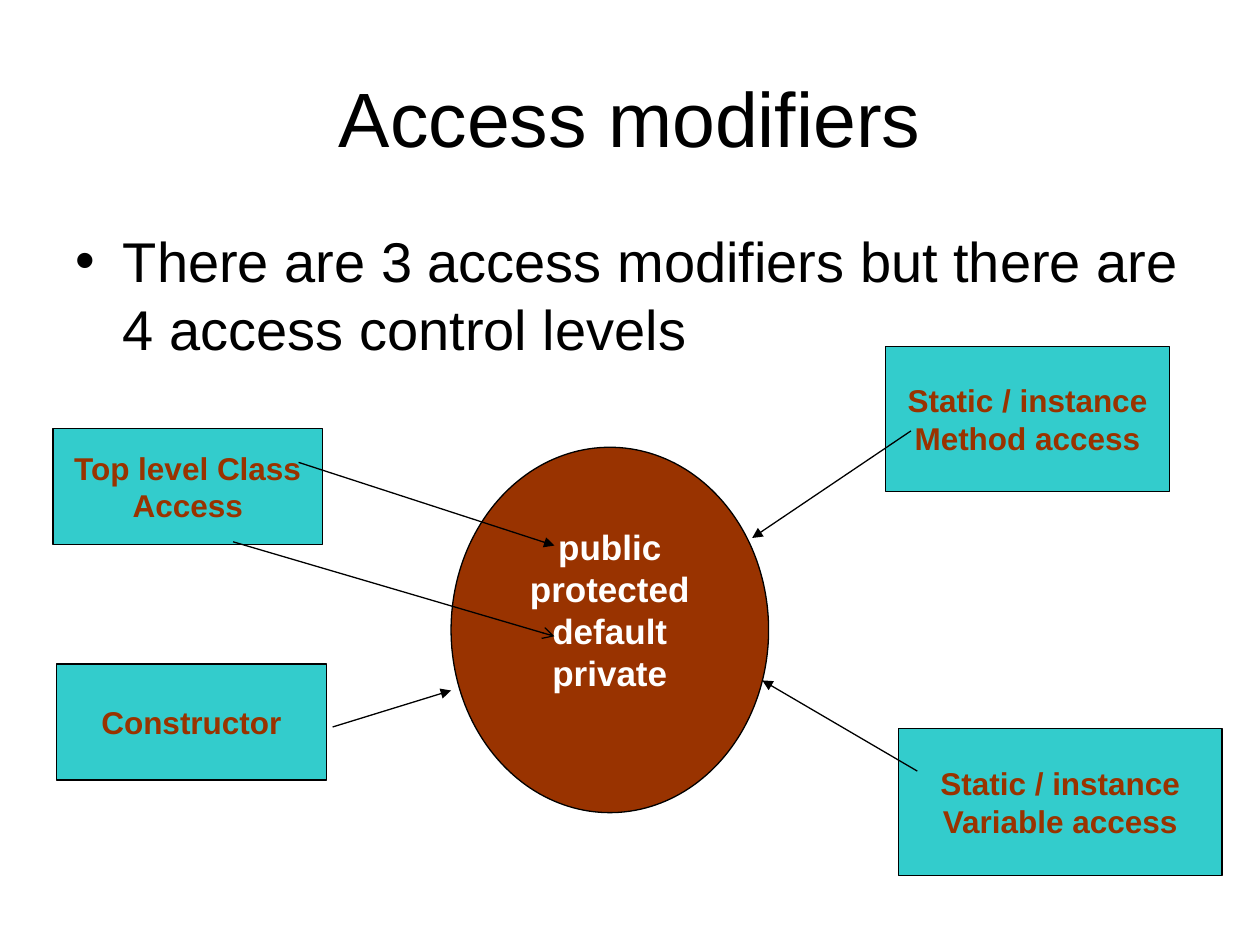
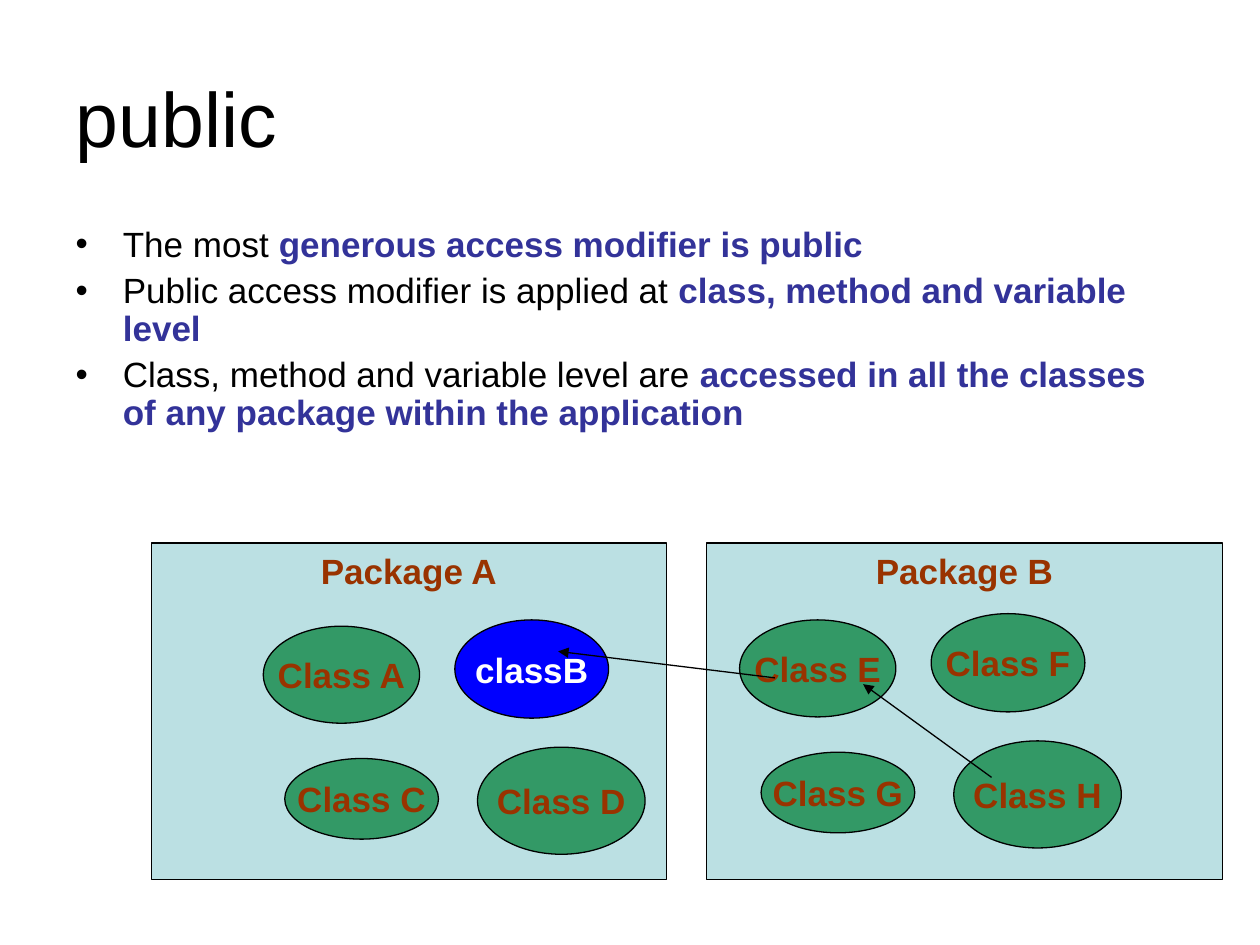
import pptx
import pptx.util
import pptx.dml.color
import pptx.enum.shapes
import pptx.enum.text
import pptx.oxml.ns
from lxml import etree

Inches, Pt = pptx.util.Inches, pptx.util.Pt
RGBColor = pptx.dml.color.RGBColor
RECTANGLE = pptx.enum.shapes.MSO_SHAPE.RECTANGLE
OVAL = pptx.enum.shapes.MSO_SHAPE.OVAL
ALIGN = pptx.enum.text.PP_ALIGN
ANCHOR = pptx.enum.text.MSO_ANCHOR
qn = pptx.oxml.ns.qn

FONT = "Arial"
BLACK = RGBColor(0x00, 0x00, 0x00)
WHITE = RGBColor(0xFF, 0xFF, 0xFF)
RUST = RGBColor(0x99, 0x33, 0x00)
TURQUOISE = RGBColor(0x33, 0xCC, 0xCC)
INDIGO = RGBColor(0x33, 0x33, 0x99)
PALE_TEAL = RGBColor(0xBB, 0xE0, 0xE3)
GREEN = RGBColor(0x33, 0x99, 0x66)
BLUE = RGBColor(0x00, 0x00, 0xFF)


def add_label(slide, outline, text, box, fill, color, size=20):
    """Add an outlined shape with bold centred text; box is left, top, width, height."""
    label = slide.shapes.add_shape(outline, *[Inches(v) for v in box])
    label.shadow.inherit = False
    label.fill.solid()
    label.fill.fore_color.rgb = fill
    label.line.color.rgb = BLACK
    label.line.width = Pt(0.75)
    frame = label.text_frame
    frame.text = text
    frame.word_wrap = outline == RECTANGLE
    frame.vertical_anchor = ANCHOR.MIDDLE
    for paragraph in frame.paragraphs:
        paragraph.alignment = ALIGN.CENTER
        font = paragraph.runs[0].font
        font.name, font.size, font.bold = FONT, Pt(size), True
        font.color.rgb = color
    return label


def add_arrow(slide, start, end, head="triangle"):
    arrow = slide.shapes.add_connector(
        pptx.enum.shapes.MSO_CONNECTOR.STRAIGHT, *[Inches(v) for v in start + end])
    arrow.line.color.rgb = BLACK
    arrow.line.width = Pt(0.75)
    properties = arrow.element.spPr
    etree.SubElement(properties.find(qn("a:ln")), qn("a:tailEnd"), type=head)
    etree.SubElement(properties, qn("a:effectLst"))


deck = pptx.Presentation()
deck.slide_width, deck.slide_height = Inches(10), Inches(7.5)

# Title, its alignment, bullets as (plain, emphasised), size, line spacing, body height
outlines = [
    ("Access modifiers", ALIGN.CENTER,
     [("There are 3 access modifiers but there are 4 access control levels", "")],
     32, 1.0, 1.28),
    ("public", ALIGN.LEFT,
     [("The most ", "generous access modifier is public"),
      ("Public access modifier is applied at ", "class, method and variable level"),
      ("Class, method and variable level are ",
       "accessed in all the classes of any package within the application")],
     20, 0.9, 1.85),
]
for heading, alignment, bullets, size, spacing, height in outlines:
    slide = deck.slides.add_slide(deck.slide_layouts[1])
    title, body = slide.placeholders
    for holder, top, tall in ((title, 0.3, 1.25), (body, 1.75, height)):
        holder.left, holder.top = Inches(0.5), Inches(top)
        holder.width, holder.height = Inches(9), Inches(tall)
        holder.text_frame.auto_size = pptx.enum.text.MSO_AUTO_SIZE.NONE
    title.text_frame.text = heading
    title_line = title.text_frame.paragraphs[0]
    title_line.alignment = alignment
    title_font = title_line.runs[0].font
    title_font.name, title_font.size = FONT, Pt(44)
    title_font.color.rgb = BLACK

    for number, (plain, emphasised) in enumerate(bullets):
        frame = body.text_frame
        bullet = frame.add_paragraph() if number else frame.paragraphs[0]
        bullet.line_spacing = spacing
        bullet.space_before = Pt(5 if number else 0)
        for words, color in ((plain, BLACK), (emphasised, INDIGO)):
            if words:
                run = bullet.add_run()
                run.text = words
                run.font.name, run.font.size = FONT, Pt(size)
                run.font.bold = color == INDIGO
                run.font.color.rgb = color

modifiers_slide, public_slide = deck.slides

# Access levels and the members they apply to
levels = add_label(modifiers_slide, OVAL, "public\nprotected\ndefault\nprivate",
                   (3.58, 3.55, 2.52, 2.9), RUST, WHITE)
levels.text_frame.margin_bottom = Inches(0.37)

members = [
    ("Top level Class Access", (0.42, 3.4, 2.14, 0.92)),
    ("Static / instance Method access", (7.03, 2.75, 2.25, 1.15)),
    ("Static / instance Variable access", (7.13, 5.78, 2.57, 1.17)),
    ("Constructor", (0.45, 5.27, 2.14, 0.92)),
]
for member, box in members:
    add_label(modifiers_slide, RECTANGLE, member, box, TURQUOISE, RUST, 18)

add_arrow(modifiers_slide, (2.37, 3.67), (4.4, 4.33))
add_arrow(modifiers_slide, (1.85, 4.3), (4.4, 5.05), "arrow")
add_arrow(modifiers_slide, (7.23, 3.42), (5.97, 4.27))
add_arrow(modifiers_slide, (7.28, 6.12), (6.05, 5.4))
add_arrow(modifiers_slide, (2.64, 5.77), (3.58, 5.48))

# Two packages whose classes share one arrangement
class_boxes = [(2.09, 4.97, 1.24, 0.77), (3.61, 4.92, 1.22, 0.78),
               (2.26, 6.02, 1.22, 0.64), (3.79, 5.93, 1.33, 0.85)]
packages = [
    ("Package A", 1.2, ["Class A", "classB", "Class C", "Class D"], 0, 0),
    ("Package B", 5.61, ["Class E", "Class F", "Class G", "Class H"], 3.78, -0.05),
]
for package_name, package_left, classes, shift_x, shift_y in packages:
    package_box = add_label(public_slide, RECTANGLE, package_name,
                            (package_left, 4.31, 4.09, 2.67), PALE_TEAL, RUST)
    package_box.text_frame.vertical_anchor = ANCHOR.TOP
    for class_name, (left, top, width, height) in zip(classes, class_boxes):
        fill, color = (BLUE, WHITE) if class_name == "classB" else (GREEN, RUST)
        add_label(public_slide, OVAL, class_name,
                  (left + shift_x, top + shift_y, width, height), fill, color)

add_arrow(public_slide, (6.15, 5.38), (4.43, 5.17))
add_arrow(public_slide, (7.87, 6.17), (6.85, 5.43))

deck.save("out.pptx")
